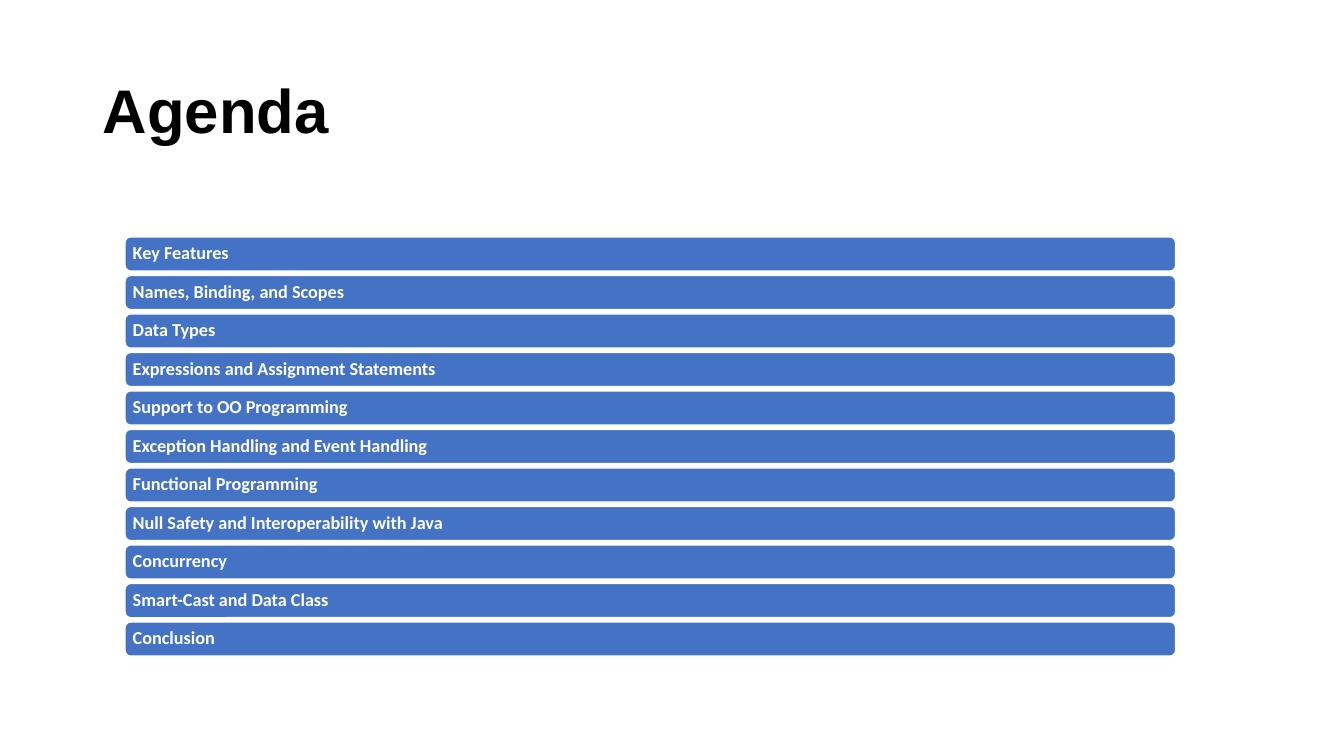
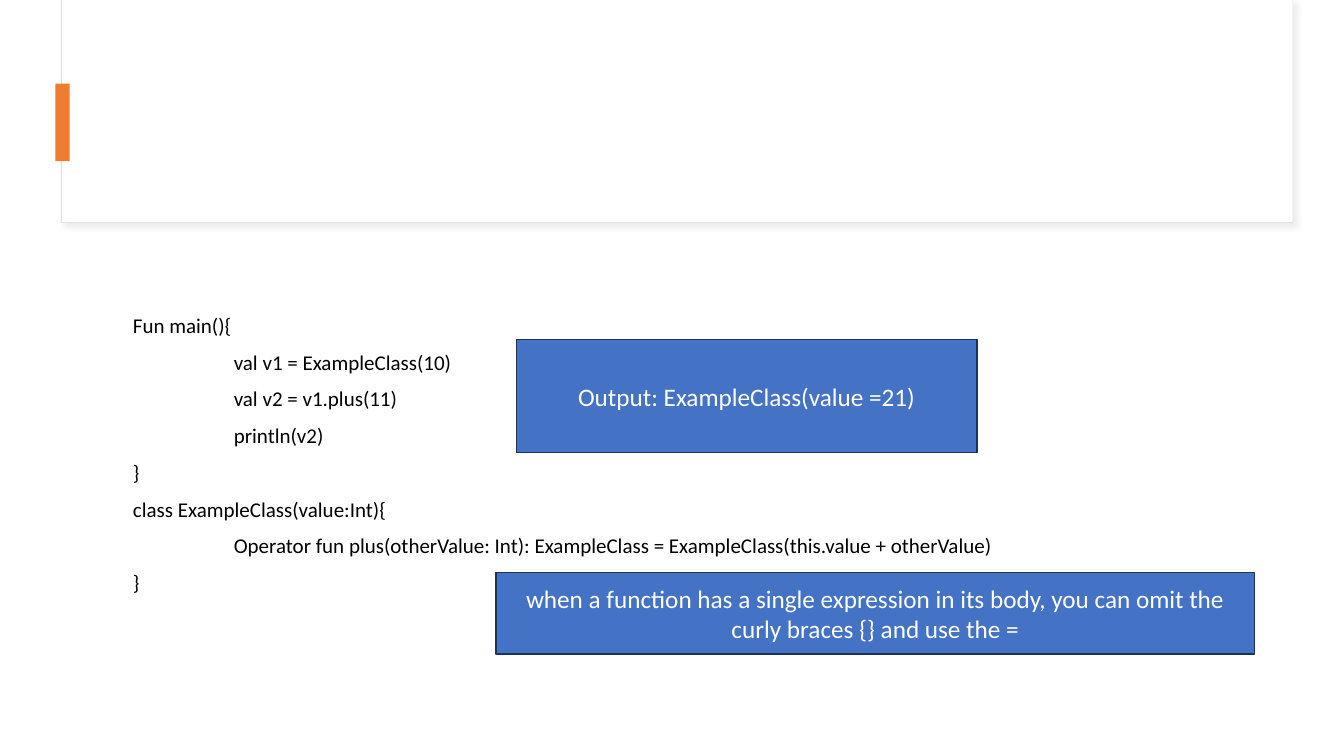
from dataclasses import dataclass

from lxml import etree
from pptx import Presentation
from pptx.dml.color import RGBColor
from pptx.enum.shapes import MSO_SHAPE
from pptx.enum.text import MSO_ANCHOR, PP_ALIGN
from pptx.oxml.ns import qn
from pptx.shapes.autoshape import Shape
from pptx.slide import Slide
from pptx.text.text import TextFrame
from pptx.util import Inches, Pt

RECT, ROUND = MSO_SHAPE.RECTANGLE, MSO_SHAPE.ROUNDED_RECTANGLE
LEFT, CENTER = PP_ALIGN.LEFT, PP_ALIGN.CENTER
TOP, MIDDLE = MSO_ANCHOR.TOP, MSO_ANCHOR.MIDDLE

# Shared look
BLUE = RGBColor(0x44, 0x72, 0xC4)
NAVY = RGBColor(0x1E, 0x32, 0x56)
ORANGE = RGBColor(0xED, 0x7D, 0x31)
GREY = RGBColor(0xE1, 0xE1, 0xE1)
WHITE = RGBColor(0xFF, 0xFF, 0xFF)
BLACK = RGBColor(0, 0, 0)
SHADE = "D9D9D9"


@dataclass(frozen=True)
class Area:
    left: float
    top: float
    width: float
    height: float

    def place(self) -> tuple:
        return tuple(map(Inches, (self.left, self.top, self.width, self.height)))


@dataclass(frozen=True)
class Style:
    size: float
    color: RGBColor
    font: str = "Calibri"
    bold: bool = False
    align: PP_ALIGN = LEFT
    anchor: MSO_ANCHOR = MIDDLE
    spacing: float = 0.9
    before: float = 0


@dataclass(frozen=True)
class Note:
    area: Area
    text: str


TITLE = Style(44, BLACK, font="Arial", bold=True)
ITEM = Style(13, WHITE, bold=True)
CODE = Style(15, BLACK, anchor=TOP, before=10)
NOTE = Style(18, WHITE, align=CENTER, spacing=1)

# Slide content
AGENDA = [
    "Key Features",
    "Names, Binding, and Scopes",
    "Data Types",
    "Expressions and Assignment Statements",
    "Support to OO Programming",
    "Exception Handling and Event Handling",
    "Functional Programming",
    "Null Safety and Interoperability with Java",
    "Concurrency",
    "Smart-Cast and Data Class",
    "Conclusion",
]
FIRST, LAST = 2.35, 6.17

LINES = [
    "Fun main(){",
    "\tval v1 = ExampleClass(10)",
    "\tval v2 = v1.plus(11)",
    "\tprintln(v2)",
    "}",
    "class ExampleClass(value:Int){",
    "\tOperator fun plus(otherValue: Int): ExampleClass = "
    "ExampleClass(this.value + otherValue)",
    "}",
]
NOTES = [
    Note(Area(5.12, 3.37, 4.57, 1.12), "Output: ExampleClass(value =21)"),
    Note(Area(4.92, 5.68, 7.52, 0.81),
         "when a function has a single expression in its body, "
         "you can omit the curly braces {} and use the ="),
]


def write(frame: TextFrame, lines: list[str], style: Style) -> None:
    """Fill a text frame, one paragraph a line."""
    frame.word_wrap = True
    frame.vertical_anchor = style.anchor
    frame.text = "\n".join(lines)
    for index, para in enumerate(frame.paragraphs):
        para.alignment = style.align
        para.line_spacing = style.spacing
        para.space_before = Pt(style.before if index else 0)
        for run in para.runs:
            font = run.font
            font.name, font.size, font.bold = style.font, Pt(style.size), style.bold
            font.color.rgb = style.color


def add_text(slide: Slide, area: Area, lines: list[str], style: Style) -> TextFrame:
    frame = slide.shapes.add_textbox(*area.place()).text_frame
    write(frame, lines, style)
    return frame


def add_box(slide: Slide, area: Area, fill: RGBColor, line: RGBColor | None = None,
            weight: float = 1, kind: MSO_SHAPE = RECT) -> Shape:
    box = slide.shapes.add_shape(kind, *area.place())
    box.shadow.inherit = False
    box.fill.solid()
    box.fill.fore_color.rgb = fill
    if line is None:
        box.line.fill.background()
    else:
        box.line.color.rgb = line
        box.line.width = Pt(weight)
    return box


def add_shade(box: Shape) -> None:
    """Give a box a soft shadow to the lower right."""
    effects = box._element.spPr.find(qn("a:effectLst"))
    outer = etree.SubElement(effects, qn("a:outerShdw"), blurRad=str(Pt(4)),
                             dist=str(Pt(3)), dir=str(45 * 60000),
                             algn="tl", rotWithShape="0")
    color = etree.SubElement(outer, qn("a:srgbClr"), val=SHADE)
    etree.SubElement(color, qn("a:alpha"), val="50000")


def add_tab(frame: TextFrame, stop: float) -> None:
    for para in frame.paragraphs:
        tabs = etree.SubElement(para._p.get_or_add_pPr(), qn("a:tabLst"))
        etree.SubElement(tabs, qn("a:tab"), pos=str(Inches(stop)), algn="l")


def draw_agenda(slide: Slide) -> None:
    add_text(slide, Area(0.92, 0.4, 11.5, 1.45), ["Agenda"], TITLE)
    # Evenly spaced bars
    pitch = (LAST - FIRST) / (len(AGENDA) - 1)
    for index, item in enumerate(AGENDA):
        area = Area(1.24, FIRST + index * pitch, 10.42, 0.34)
        bar = add_box(slide, area, BLUE, WHITE, kind=ROUND)
        frame = bar.text_frame
        frame.margin_left = frame.margin_right = Inches(0.06)
        frame.margin_top = frame.margin_bottom = Inches(0.05)
        write(frame, [item], ITEM)


def draw_code(slide: Slide) -> None:
    # Header card with accent
    add_shade(add_box(slide, Area(0.61, 0, 12.21, 2.21), WHITE, GREY, 0.75))
    add_box(slide, Area(0.62, 0, 12.2, 2.2), WHITE)
    add_box(slide, Area(0.55, 0.83, 0.14, 0.77), ORANGE)
    # Listing and notes
    add_tab(add_text(slide, Area(1.22, 3.08, 11.12, 3.67), LINES, CODE), 1)
    for note in NOTES:
        box = add_box(slide, note.area, BLUE, NAVY)
        write(box.text_frame, [note.text], NOTE)


def main() -> None:
    deck = Presentation()
    deck.slide_width, deck.slide_height = Inches(13.33), Inches(7.5)
    blank = deck.slide_layouts[6]
    for draw in (draw_agenda, draw_code):
        draw(deck.slides.add_slide(blank))
    deck.save("out.pptx")


if __name__ == "__main__":
    main()
